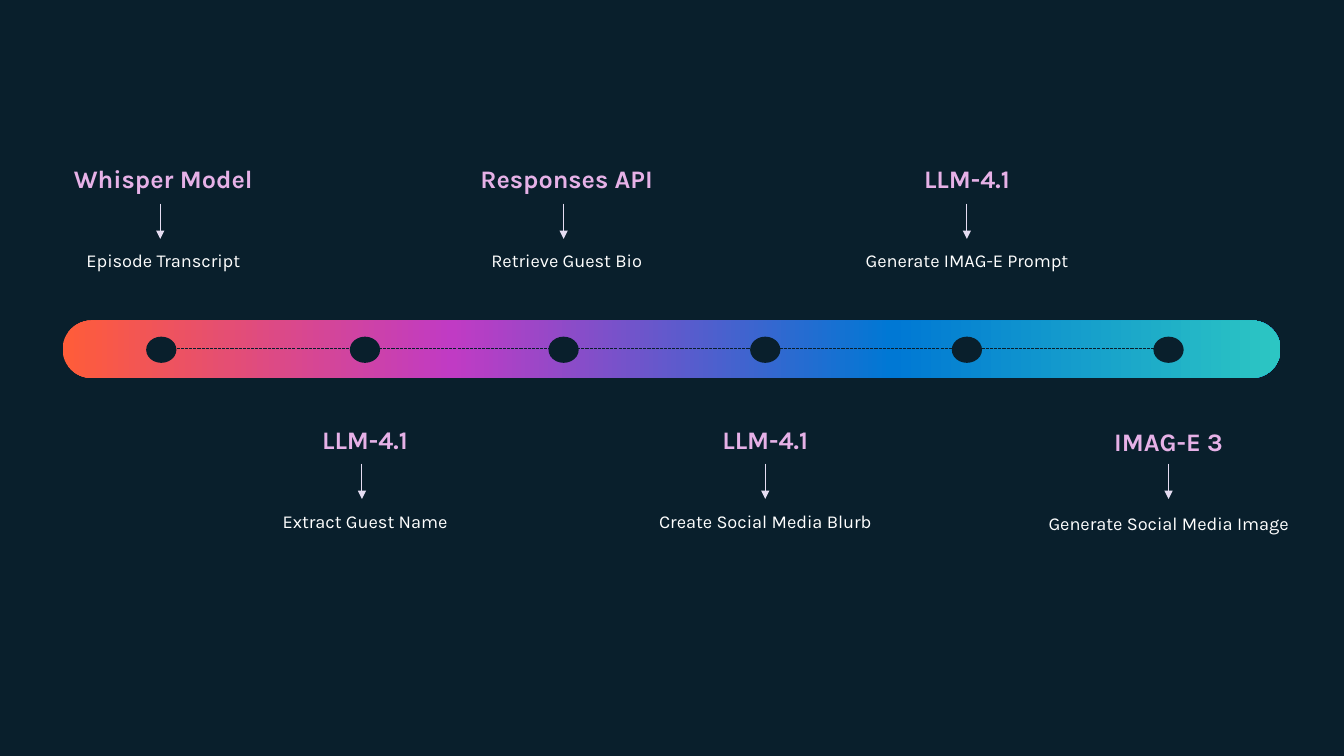
from copy import deepcopy
from pptx import Presentation
from pptx.dml.color import RGBColor
from pptx.enum import dml, shapes, text
from pptx.oxml import ns
from pptx.util import Inches, Pt
from lxml import etree

COLORS = {"navy": "091F2C", "pink": "E6B1E7", "white": "FFFFFF", "arrow": "E5DDF2"}
GRADIENT = [(0, "FF5C39"), (32, "C03BC4"), (68, "0078D4"), (100, "2CC6C3")]
STEPS = [
    ("Whisper Model", "Episode Transcript", 1.62, 1.57, 2, 1.6),
    ("LLM-4.1", "Extract Guest Name", 3.62, 4.16, 2, 3.62),
    ("Responses API", "Retrieve Guest Bio", 5.62, 1.57, 2, 5.59),
    ("LLM-4.1", "Create Social Media Blurb", 7.59, 4.16, 2.36, 7.59),
    ("LLM-4.1", "Generate IMAG-E Prompt", 9.59, 1.57, 2.31, 9.59),
    ("IMAG-E 3", "Generate Social Media Image", 11.59, 4.18, 2.67, 11.59),
]


def add_line(x1, y1, x2, y2, color):
    line = s.shapes.add_connector(
        shapes.MSO_CONNECTOR.STRAIGHT, Inches(x1), Inches(y1), Inches(x2), Inches(y2))
    line.line.color.rgb = RGBColor.from_string(COLORS[color])
    line.line.width = Pt(0.75)
    etree.SubElement(line._element.spPr, ns.qn("a:effectLst"))
    return line


prs = Presentation()
prs.slide_width, prs.slide_height = Inches(13.33), Inches(7.5)
s = prs.slides.add_slide(prs.slide_layouts[6])
s.background.fill.solid()
s.background.fill.fore_color.rgb = RGBColor.from_string(COLORS["navy"])

bar = s.shapes.add_shape(
    shapes.MSO_SHAPE.ROUNDED_RECTANGLE, Inches(0.62), Inches(3.18), Inches(12.08), Inches(0.57))
bar.adjustments[0] = 0.5
bar.shadow.inherit = False
bar.line.fill.background()
bar.fill.gradient()
bar.fill.gradient_angle = 0
stops = bar._element.spPr.find(ns.qn("a:gradFill")).find(ns.qn("a:gsLst"))
for stop in stops[:2]:
    stops.append(deepcopy(stop))
for stop, (percent, color) in zip(bar.fill.gradient_stops, GRADIENT):
    stop.position = percent / 100
    stop.color.rgb = RGBColor.from_string(color)

for i, (model, task, center, top, width, dot_x) in enumerate(STEPS):
    box = s.shapes.add_textbox(
        Inches(center - width / 2), Inches(top), Inches(width), Inches(1.19))
    tf = box.text_frame
    tf.word_wrap = True
    tf.text = f"{model}\n{task}"
    for p, size, color, bold in zip(tf.paragraphs, (18, 13), ("pink", "white"), (True, False)):
        p.alignment = text.PP_ALIGN.CENTER
        font = p.runs[0].font
        font.name, font.size, font.bold = "Karla", Pt(size), bold
        font.color.rgb = RGBColor.from_string(COLORS[color])
    tf.paragraphs[1].space_before = Pt(40)

    arrow_x = 1.59 + 2 * i
    arrow_y = 4.6 if i % 2 else 2.02
    arrow = add_line(arrow_x, arrow_y, arrow_x, arrow_y + 0.35, "arrow")
    etree.SubElement(arrow.line._get_or_add_ln(), ns.qn("a:tailEnd"), type="triangle")

    dot = s.shapes.add_shape(
        shapes.MSO_SHAPE.OVAL, Inches(dot_x - 0.15), Inches(3.34), Inches(0.3), Inches(0.26))
    dot.shadow.inherit = False
    dot.fill.solid()
    dot.fill.fore_color.rgb = RGBColor.from_string(COLORS["navy"])
    dot.line.fill.background()

track = add_line(1.59, 3.46, 11.58, 3.46, "navy")
track.line.dash_style = dml.MSO_LINE.SQUARE_DOT

prs.save("out.pptx")
